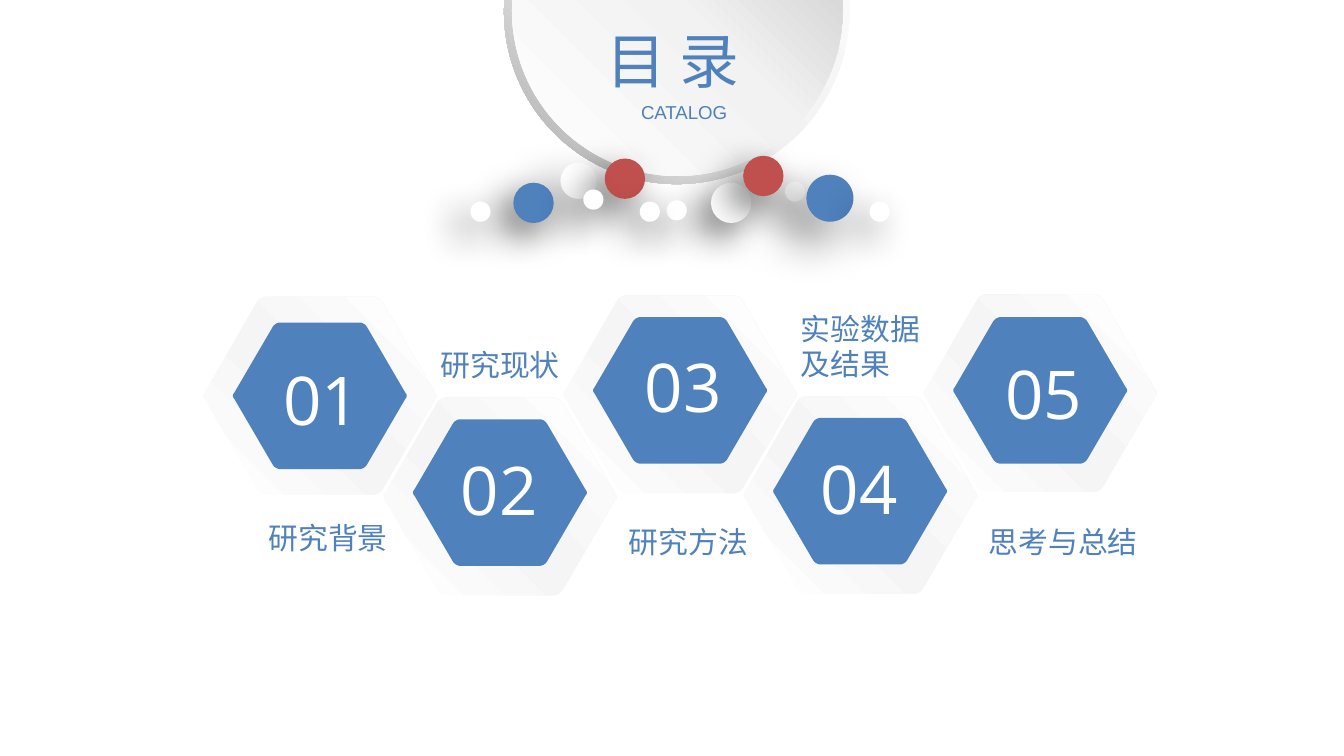
"""Build the catalog slide: a title disc, scattered dots and five numbered hexagons."""
from typing import NamedTuple

import lxml.etree
import pptx
import pptx.dml.color
import pptx.enum.shapes
import pptx.enum.text
import pptx.oxml
import pptx.oxml.ns
import pptx.util

Inches = pptx.util.Inches
Pt = pptx.util.Pt
OVAL = pptx.enum.shapes.MSO_SHAPE.OVAL
DONUT = pptx.enum.shapes.MSO_SHAPE.DONUT
BLUE, RED, WHITE = "4F81BD", "C0504D", "FFFFFF"
CJK = "Noto Sans CJK SC"
PANEL_STOPS = [(0, WHITE), (47, "F5F5F5"), (100, WHITE)]
TOP_CORNER = [(0.73, 0), (0.74, 0), (0.76, 0.01), (0.77, 0.03)]
SIDE_CORNER = [(0.99, 0.48), (1, 0.49), (1, 0.51), (0.99, 0.52)]


class Box(NamedTuple):
    left: float
    top: float
    width: float
    height: float

    def emu(self) -> list:
        """Give the box as lengths."""
        return [Inches(value) for value in self]


class Dot(NamedTuple):
    left: float
    top: float
    size: float
    color: str = WHITE
    soft: bool = False


class Chapter(NamedTuple):
    column: int
    top: float
    core_drop: float
    number: str
    number_box: Box
    label: str
    label_box: Box


DOTS = [
    Dot(5.29, 1.36, 0.3), Dot(4.96, 1.49, 0.15), Dot(5.84, 1.35, 0.15),
    Dot(4.17, 1.21, 0.27, soft=True), Dot(4.5, 1.18, 0.3, RED),
    Dot(4.76, 1.5, 0.15), Dot(6, 1.3, 0.35, BLUE, soft=True),
    Dot(3.82, 1.36, 0.3, BLUE), Dot(3.5, 1.5, 0.15), Dot(5.53, 1.16, 0.3, RED),
    Dot(4.34, 1.41, 0.15), Dot(6.47, 1.5, 0.15),
]
CHAPTERS = [
    Chapter(4, 2.18, 0.18, "05", Box(7.38, 2.57, 0.92, 0.71),
            "思考与总结", Box(7.26, 3.85, 1.43, 0.37)),
    Chapter(2, 2.19, 0.17, "03", Box(4.7, 2.52, 0.85, 0.71),
            "研究方法", Box(4.58, 3.85, 1.12, 0.37)),
    Chapter(0, 2.2, 0.2, "01", Box(2.01, 2.62, 0.88, 0.71),
            "研究背景", Box(1.9, 3.82, 1.12, 0.37)),
    Chapter(1, 2.95, 0.17, "02", Box(3.33, 3.29, 0.86, 0.71),
            "研究现状", Box(3.18, 2.53, 1.33, 0.37)),
    Chapter(3, 2.94, 0.17, "04", Box(6.01, 3.28, 0.97, 0.71),
            "实验数据及结果", Box(5.86, 2.26, 1.12, 0.64)),
]


def rgb(color: str) -> pptx.dml.color.RGBColor:
    """Turn a hex string into a colour."""
    return pptx.dml.color.RGBColor.from_string(color)


def paint(shape, color: str) -> None:
    """Give a shape a plain fill without line or shadow."""
    shape.shadow.inherit = False
    shape.line.fill.background()
    shape.fill.solid()
    shape.fill.fore_color.rgb = rgb(color)


def shade(shape, stops: list, angle: int) -> None:
    """Replace the plain fill of a shape with a linear gradient."""
    paint(shape, WHITE)
    marks = "".join(f'<a:gs pos="{at * 1000}"><a:srgbClr val="{color}"/></a:gs>'
                    for at, color in stops)
    gradient = pptx.oxml.parse_xml(
        f'<a:gradFill {pptx.oxml.ns.nsdecls("a")} rotWithShape="1"><a:gsLst>{marks}</a:gsLst>'
        f'<a:lin ang="{angle * 60000}" scaled="0"/></a:gradFill>')
    properties = shape._element.spPr
    properties.replace(properties.find(pptx.oxml.ns.qn("a:solidFill")), gradient)


def cast_shadow(shape, blur: int, distance: int, alpha: int) -> None:
    """Add a black shadow falling to the lower left."""
    effects = shape._element.spPr.find(pptx.oxml.ns.qn("a:effectLst"))
    effects.append(pptx.oxml.parse_xml(
        f'<a:outerShdw {pptx.oxml.ns.nsdecls("a")} blurRad="{Pt(blur)}" dist="{Pt(distance)}" '
        f'dir="8100000" algn="tr" rotWithShape="0"><a:srgbClr val="000000">'
        f'<a:alpha val="{alpha * 1000}"/></a:srgbClr></a:outerShdw>'))


def write(holder, text: str, size: int, font: str, color: str, centred: bool = False) -> None:
    """Write one formatted paragraph into a text holder."""
    frame = holder.text_frame
    frame.word_wrap = True
    middle = pptx.enum.text.MSO_ANCHOR.MIDDLE
    frame.vertical_anchor = middle if centred else pptx.enum.text.MSO_ANCHOR.TOP
    paragraph = frame.paragraphs[0]
    paragraph.text = text
    align = pptx.enum.text.PP_ALIGN
    paragraph.alignment = align.CENTER if centred else align.LEFT
    paragraph.font.size = Pt(size)
    paragraph.font.name = font
    paragraph.font.color.rgb = rgb(color)
    defaults = paragraph._p.pPr.find(pptx.oxml.ns.qn("a:defRPr"))
    lxml.etree.SubElement(defaults, pptx.oxml.ns.qn("a:ea"), typeface=CJK)


def curve(corner: list, steps: int = 6) -> list:
    """Sample a cubic curve through its four control points."""
    points = []
    for step in range(steps + 1):
        t = step / steps
        weights = ((1 - t) ** 3, 3 * t * (1 - t) ** 2, 3 * t * t * (1 - t), t ** 3)
        points.append(tuple(sum(w * p[axis] for w, p in zip(weights, corner))
                            for axis in (0, 1)))
    return points


def add_hexagon(shapes, box: Box):
    """Draw a hexagon with rounded corners that fills the box."""
    top = curve(TOP_CORNER)
    right = top + curve(SIDE_CORNER) + [(x, 1 - y) for x, y in reversed(top)]
    left = [(1 - x, 1 - y) for x, y in right]
    points = [(Inches(box.left + x * box.width), Inches(box.top + y * box.height))
              for x, y in right + left]
    builder = shapes.build_freeform(*points[0])
    builder.add_line_segments(points[1:], close=True)
    return builder.convert_to_shape()


def add_chapter(slide, chapter: Chapter) -> None:
    """Draw the hexagons and the number of one chapter as a group."""
    left = 1.5 + 1.34 * chapter.column
    shapes = slide.shapes.add_group_shape().shapes
    paint(add_hexagon(shapes, Box(left, chapter.top, 1.75, 1.49)), WHITE)
    shade(add_hexagon(shapes, Box(left + 0.01, chapter.top + 0.01, 1.74, 1.47)),
          PANEL_STOPS, 315)
    paint(add_hexagon(shapes, Box(left + 0.23, chapter.top + chapter.core_drop, 1.3, 1.09)), BLUE)
    write(shapes.add_textbox(*chapter.number_box.emu()), chapter.number, 36, "Open Sans", WHITE)


def add_disc(slide) -> None:
    """Draw the shaded disc and its rim behind the title."""
    shapes = slide.shapes.add_group_shape().shapes
    rim = shapes.add_shape(DONUT, *Box(3.75, -1.2, 2.57, 2.57).emu())
    rim.adjustments[0] = 0.05
    shade(rim, [(0, WHITE), (55, "F2F2F2"), (100, "A6A6A6")], 135)
    face = shapes.add_shape(OVAL, *Box(3.81, -1.15, 2.46, 2.46).emu())
    shade(face, [(0, WHITE), (51, "F2F2F2"), (100, "BFBFBF")], 315)


def main() -> None:
    """Build and save the slide."""
    deck = pptx.Presentation()
    deck.slide_width, deck.slide_height = Inches(10), Inches(10 * 9 / 16)
    slide = deck.slides.add_slide(deck.slide_layouts[5])
    add_disc(slide)
    for dot in DOTS:
        ball = slide.shapes.add_shape(OVAL, *Box(dot.left, dot.top, dot.size, dot.size).emu())
        paint(ball, dot.color)
        cast_shadow(ball, *((25, 15, 50) if dot.soft else (20, 10, 60)))
    title = slide.shapes.title
    title.left, title.top, title.width, title.height = Box(4.41, 0.13, 1.35, 0.64).emu()
    write(title, "目 录", 32, CJK, BLUE)
    slide.shapes._spTree.append(title._element)
    subtitle = slide.shapes.add_textbox(*Box(4.34, 0.62, 1.5, 0.42).emu())
    write(subtitle, "CATALOG", 10, "Arial", BLUE, centred=True)
    for chapter in CHAPTERS:
        add_chapter(slide, chapter)
    for chapter in sorted(CHAPTERS):
        label = slide.shapes.add_textbox(*chapter.label_box.emu())
        write(label, chapter.label, 16, "Arial", BLUE)
    deck.save("out.pptx")


main()
